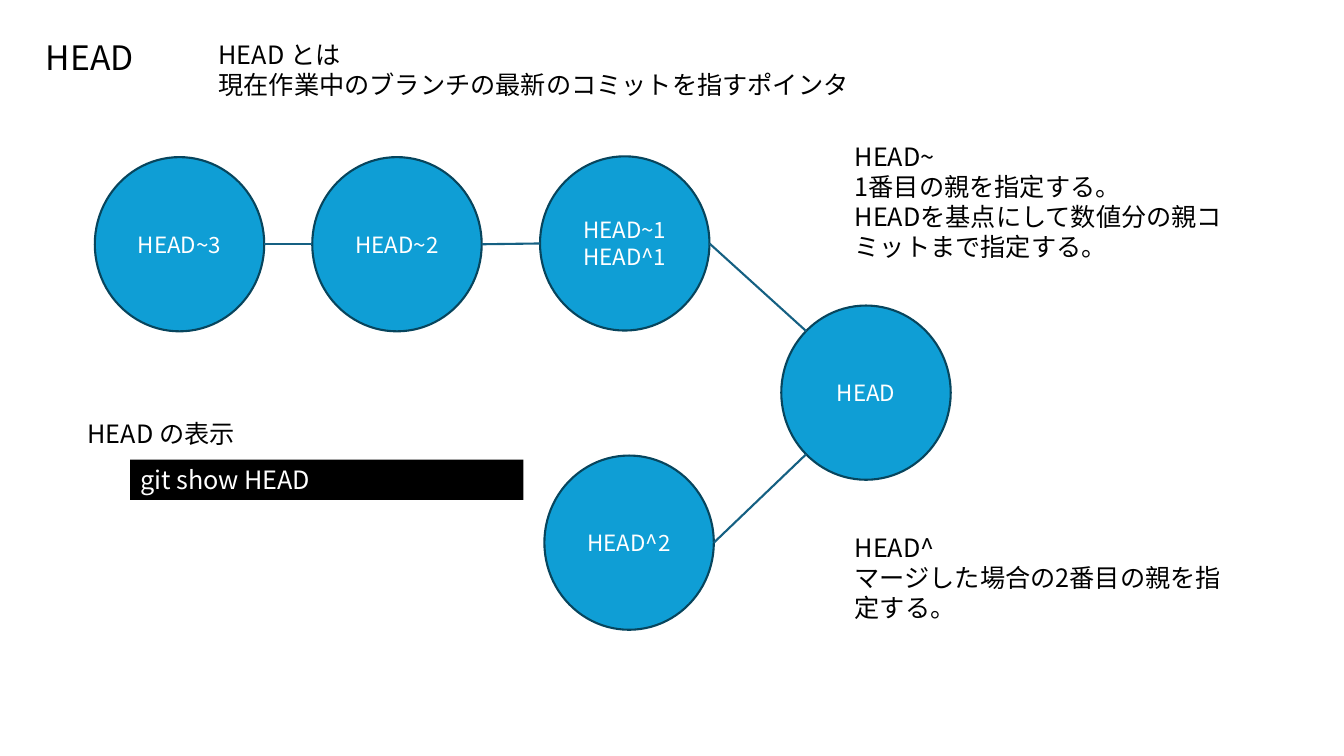
"""Build a slide that explains HEAD and its parent commits."""
from dataclasses import dataclass
from math import cos, radians, sin

from lxml import etree
from pptx import Presentation
from pptx import util as u
from pptx.dml.color import RGBColor
from pptx.enum import shapes, text
from pptx.oxml.ns import qn


@dataclass(frozen=True)
class Theme:
    """Colours, font and type sizes of the slide."""

    font: str = "Noto Sans CJK JP"
    ink: RGBColor = RGBColor.from_string("000000")
    paper: RGBColor = RGBColor.from_string("FFFFFF")
    commit: RGBColor = RGBColor.from_string("0F9ED5")
    outline: RGBColor = RGBColor.from_string("07455D")
    link: RGBColor = RGBColor.from_string("156082")
    title: int = 24
    body: int = 18
    label: int = 16
    stroke: float = 1.5


class CommitSlide:
    """Draw commits, links and notes on one slide."""

    commit_width, commit_height = 4.27, 4.39

    def __init__(self, slide, theme):
        """Keep the slide and its theme."""
        self.slide = slide
        self.theme = theme

    def set_text(self, shape, lines, size, color, align=text.PP_ALIGN.LEFT):
        """Fill a shape with one paragraph per line."""
        frame = shape.text_frame
        frame.text = "\n".join(lines)
        for paragraph in frame.paragraphs:
            paragraph.alignment = align
            font = paragraph.font
            font.size = u.Pt(size)
            font.color.rgb = color
            font.name = self.theme.font
            properties = paragraph._p.pPr.find(qn("a:defRPr"))
            etree.SubElement(properties, qn("a:ea"), typeface=self.theme.font)
        return frame

    def note(self, box, lines, size=None, wrap=True):
        """Add a text box."""
        shape = self.slide.shapes.add_textbox(*map(u.Cm, box))
        frame = self.set_text(shape, lines, size or self.theme.body, self.theme.ink)
        frame.word_wrap = wrap
        frame.auto_size = text.MSO_AUTO_SIZE.SHAPE_TO_FIT_TEXT

    def command(self, box, line):
        """Add a black bar with a shell command."""
        shape = self.slide.shapes.add_shape(shapes.MSO_SHAPE.RECTANGLE, *map(u.Cm, box))
        shape.shadow.inherit = False
        shape.fill.solid()
        shape.fill.fore_color.rgb = self.theme.ink
        shape.line.fill.background()
        frame = self.set_text(shape, [line], self.theme.body, self.theme.paper)
        frame.word_wrap = True
        frame.vertical_anchor = text.MSO_ANCHOR.TOP

    def commit(self, left, top, *names):
        """Add a commit circle and return it."""
        box = left, top, self.commit_width, self.commit_height
        shape = self.slide.shapes.add_shape(shapes.MSO_SHAPE.OVAL, *map(u.Cm, box))
        shape.shadow.inherit = False
        shape.fill.solid()
        shape.fill.fore_color.rgb = self.theme.commit
        shape.line.color.rgb = self.theme.outline
        shape.line.width = u.Pt(self.theme.stroke)
        frame = self.set_text(shape, names, self.theme.label, self.theme.paper,
                              text.PP_ALIGN.CENTER)
        frame.vertical_anchor = text.MSO_ANCHOR.MIDDLE
        return shape

    def rim(self, commit, degrees):
        """Return the point on a circle at an angle clockwise from the right."""
        angle = radians(degrees)
        return (int(commit.left + commit.width * (1 + cos(angle)) / 2),
                int(commit.top + commit.height * (1 + sin(angle)) / 2))

    def link(self, child, degrees, parent):
        """Join a child's rim to the right side of its parent."""
        line = self.slide.shapes.add_connector(
            shapes.MSO_CONNECTOR.STRAIGHT,
            *self.rim(child, degrees), *self.rim(parent, 0))
        line.line.color.rgb = self.theme.link
        line.line.width = u.Pt(self.theme.stroke)
        etree.SubElement(line._element.spPr, qn("a:effectLst"))


def main():
    """Build and save the presentation."""
    presentation = Presentation()
    presentation.slide_width = u.Cm(33.87)
    presentation.slide_height = u.Cm(19.05)
    slide = presentation.slides.add_slide(presentation.slide_layouts[6])
    theme = Theme()
    page = CommitSlide(slide, theme)

    page.note((0.91, 0.81, 2.9, 1.27), ["HEAD"], theme.title, wrap=False)

    third = page.commit(2.39, 3.96, "HEAD~3")
    second = page.commit(7.87, 3.96, "HEAD~2")
    first = page.commit(13.61, 3.94, "HEAD~1", "HEAD^1")
    merged = page.commit(13.72, 11.48, "HEAD^2")
    head = page.commit(19.69, 7.7, "HEAD")
    for child, degrees, parent in (
        (head, 225, first),
        (head, 135, merged),
        (first, 180, second),
        (second, 180, third),
    ):
        page.link(child, degrees, parent)

    page.note((21.29, 3.43, 10.21, 3.33), [
        "HEAD~",
        "1番目の親を指定する。",
        "HEADを基点にして数値分の親コミットまで指定する。",
    ])
    page.note((21.29, 13.28, 10.21, 2.57), [
        "HEAD^",
        "マージした場合の2番目の親を指定する。",
    ])
    page.note((5.26, 0.86, 17.48, 1.8), [
        "HEAD とは",
        "現在作業中のブランチの最新のコミットを指すポインタ",
    ])
    page.command((3.28, 11.58, 9.91, 1.02), "git show HEAD")
    page.note((1.96, 10.41, 5.72, 1.02), ["HEAD の表示"])

    presentation.save("out.pptx")


if __name__ == "__main__":
    main()
